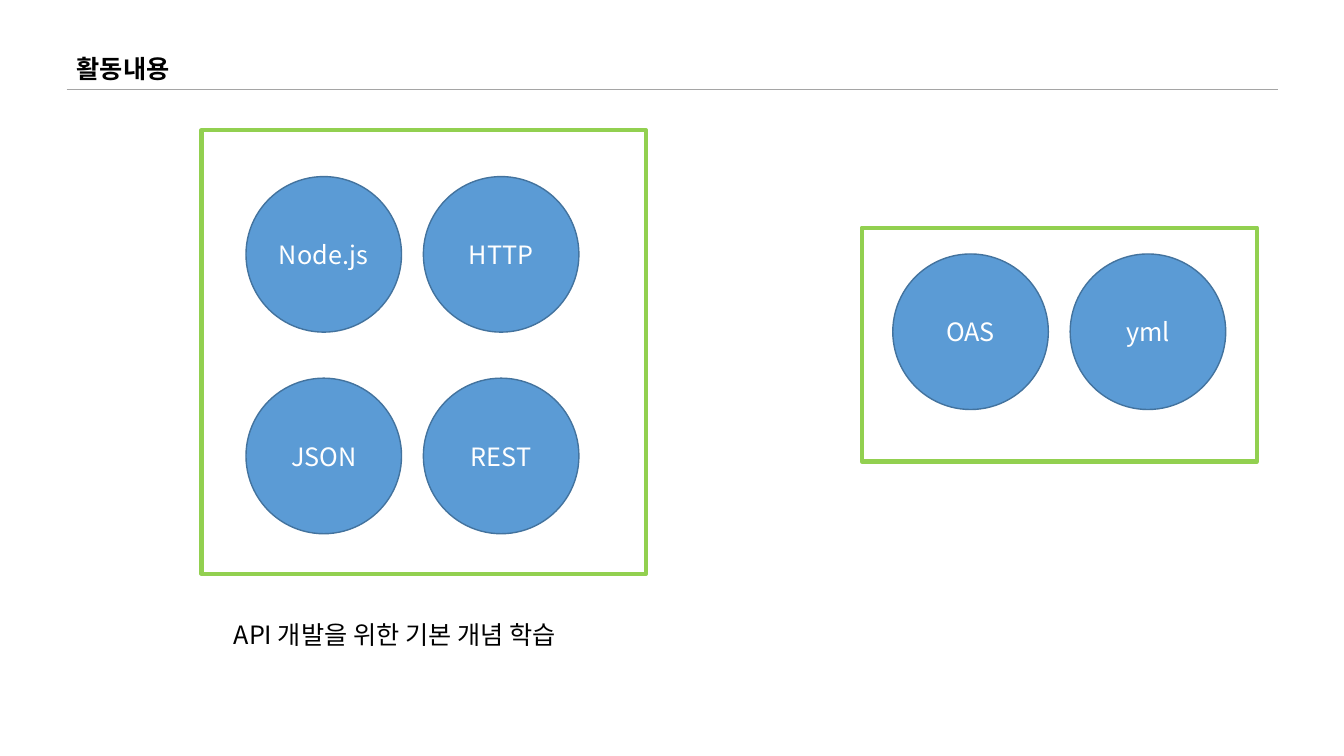
from dataclasses import dataclass

from lxml import etree
from pptx import Presentation
from pptx.dml.color import RGBColor
from pptx.enum.shapes import MSO_CONNECTOR, MSO_SHAPE
from pptx.enum.text import MSO_ANCHOR, MSO_AUTO_SIZE, PP_ALIGN
from pptx.oxml.ns import qn
from pptx.util import Cm, Pt


@dataclass(frozen=True)
class Theme:
    font: str = "Noto Sans CJK KR"
    size: Pt = Pt(18)
    text: RGBColor = RGBColor(0x00, 0x00, 0x00)
    label: RGBColor = RGBColor(0xFF, 0xFF, 0xFF)
    circle: RGBColor = RGBColor(0x5B, 0x9B, 0xD5)
    outline: RGBColor = RGBColor(0x43, 0x73, 0x9E)
    frame: RGBColor = RGBColor(0x92, 0xD0, 0x50)
    rule: RGBColor = RGBColor(0xA5, 0xA5, 0xA5)


theme = Theme()


def write(shape, text, color, align=PP_ALIGN.LEFT, anchor=MSO_ANCHOR.TOP, bold=False, wrap=True):
    frame = shape.text_frame
    frame.text = text
    frame.word_wrap = wrap
    frame.auto_size = MSO_AUTO_SIZE.NONE
    frame.vertical_anchor = anchor
    para = frame.paragraphs[0]
    para.alignment = align
    para.font.name = theme.font
    para.font.size = theme.size
    para.font.bold = bold
    para.font.color.rgb = color
    # Hangul takes its typeface from the East Asian font
    defaults = para._p.find(".//" + qn("a:defRPr"))
    etree.SubElement(defaults, qn("a:ea")).set("typeface", theme.font)


deck = Presentation()
deck.slide_width, deck.slide_height = Cm(33.87), Cm(19.05)
page = deck.slides.add_slide(deck.slide_layouts[5])

# Title and the rule under it
title = page.shapes.title
title.left, title.top, title.width, title.height = Cm(1.68), Cm(1.22), Cm(3.07), Cm(1.02)
write(title, "활동내용", theme.text, bold=True, wrap=False)

rule = page.shapes.add_connector(MSO_CONNECTOR.STRAIGHT, Cm(1.68), Cm(2.26), Cm(32.21), Cm(2.26))
rule.line.color.rgb = theme.rule
rule.line.width = Pt(0.5)
etree.SubElement(rule._element.spPr, qn("a:effectLst"))

# Topic groups: frame box, first circle corner, rows of labels
groups = [
    ((5.08, 3.28, 11.2, 11.18), (6.2, 4.45), [["Node.js", "HTTP"], ["JSON", "REST"]]),
    ((21.72, 5.74, 9.96, 5.89), (22.5, 6.4), [["OAS", "yml"]]),
]
diameter, column_step, row_step = 3.92, 4.47, 5.08

for bounds, (left, top), rows in groups:
    for row, labels in enumerate(rows):
        for column, label in enumerate(labels):
            circle = page.shapes.add_shape(
                MSO_SHAPE.OVAL,
                Cm(left + column * column_step), Cm(top + row * row_step),
                Cm(diameter), Cm(diameter),
            )
            circle.shadow.inherit = False
            circle.fill.solid()
            circle.fill.fore_color.rgb = theme.circle
            circle.line.color.rgb = theme.outline
            circle.line.width = Pt(1)
            write(circle, label, theme.label, PP_ALIGN.CENTER, MSO_ANCHOR.MIDDLE)

    box = page.shapes.add_shape(MSO_SHAPE.RECTANGLE, *map(Cm, bounds))
    box.shadow.inherit = False
    box.fill.background()
    box.line.color.rgb = theme.frame
    box.line.width = Pt(3)

# Caption under the first group
caption = page.shapes.add_textbox(Cm(5.64), Cm(15.49), Cm(10.08), Cm(1.02))
write(caption, "API 개발을 위한 기본 개념 학습", theme.text)

deck.save("out.pptx")
